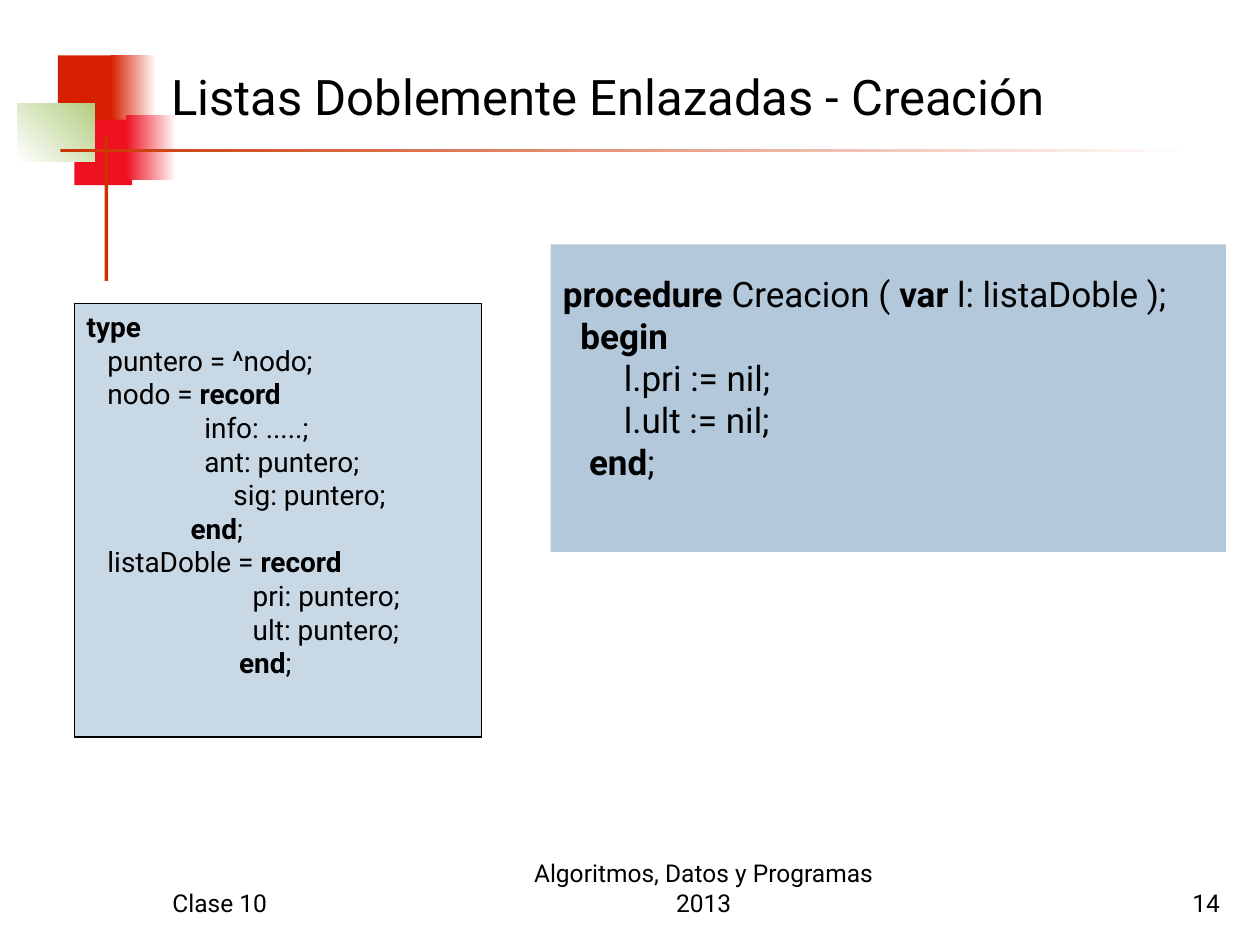
from pptx import Presentation
from pptx import util as u
from pptx.dml.color import RGBColor
from pptx.enum import shapes, text
from pptx.oxml import parse_xml
from pptx.oxml.ns import nsdecls

COLUMNS, ROWS = 100, 75
WIDTH, HEIGHT = u.Inches(10), u.Inches(7.5)
FONT = "Roboto"

TYPES = [
    "*type*",
    "   puntero = ^nodo;",
    "   nodo = *record*",
    "                 info: .....;",
    "                 ant: puntero;",
    "\t   sig: puntero;",
    "               *end*;",
    "   listaDoble = *record*",
    "                        pri: puntero;",
    "                        ult: puntero;",
    "                      *end*;",
]
PROCEDURE = [
    "*procedure* Creacion ( *var* l: listaDoble );",
    "  *begin*",
    "       l.pri := nil;",
    "       l.ult := nil;",
    "   *end*;",
]
ORNAMENT = [
    ((4.6, 4.4, 4.8, 5.2), ["D61F00"], 0),
    ((8.8, 4.4, 3.6, 5.2), ["D61F00", "FFFFFF"], 0),
    ((5.9, 9.5, 4.6, 5.2), ["EF1121"], 0),
    ((10, 9.1, 4, 5.2), ["EF1121", "FFFFFF"], 0),
    ((1.4, 8.2, 6.1, 4.6), ["FFFFFF", "B3CE82"], 45),
    ((8.3, 10.8, 0.3, 11.5), ["CC3300"], 0),
    ((4.8, 11.8, 90, 0.3), ["CC3300", "FFFFFF"], 0),
]


def color(code):
    """Turn a hex string into a colour."""
    return RGBColor.from_string(code)


def place(left, top, width, height):
    """Turn grid columns and rows into slide lengths."""
    return (int(WIDTH * left / COLUMNS), int(HEIGHT * top / ROWS),
            int(WIDTH * width / COLUMNS), int(HEIGHT * height / ROWS))


def add_block(slide, area, hues, angle=0, border=None):
    """Draw a rectangle filled with one hue or a fade between two."""
    block = slide.shapes.add_shape(shapes.MSO_SHAPE.RECTANGLE, *place(*area))
    block.shadow.inherit = False
    if len(hues) == 1:
        block.fill.solid()
        block.fill.fore_color.rgb = color(hues[0])
    else:
        block.fill.gradient()
        block.fill.gradient_angle = angle
        for position, (stop, hue) in enumerate(zip(block.fill.gradient_stops, hues)):
            stop.position = position
            stop.color.rgb = color(hue)
    if border:
        block.line.color.rgb = color(border)
        block.line.width = u.Pt(0.75)
    else:
        block.line.fill.background()
    return block


def write(frame, lines, size, align=text.PP_ALIGN.LEFT,
          anchor=text.MSO_ANCHOR.TOP, inset=0.05, tab=None):
    """Fill a frame with lines whose starred parts are bold."""
    frame.word_wrap = True
    frame.vertical_anchor = anchor
    frame.margin_top = u.Inches(inset)
    for number, line in enumerate(lines):
        paragraph = frame.paragraphs[0] if number == 0 else frame.add_paragraph()
        paragraph.alignment = align
        if tab:
            paragraph._p.get_or_add_pPr().append(parse_xml(
                f'<a:tabLst {nsdecls("a")}><a:tab pos="{u.Inches(tab)}" algn="l"/></a:tabLst>'))
        for part, words in enumerate(line.split("*")):
            if words:
                run = paragraph.add_run()
                run.text = words
                run.font.name = FONT
                run.font.size = u.Pt(size)
                run.font.bold = part % 2 == 1
                run.font.color.rgb = color("000000")


def add_label(slide, area, words, size, **layout):
    """Place one line of text in its own box."""
    label = slide.shapes.add_textbox(*place(*area))
    write(label.text_frame, [words], size, **layout)


def add_code(slide, area, hue, lines, size, border=None, **layout):
    """Place a listing on a coloured panel."""
    panel = add_block(slide, area, [hue], border=border)
    write(panel.text_frame, lines, size, tab=1, **layout)


def main():
    """Build and save the slide."""
    deck = Presentation()
    deck.slide_width, deck.slide_height = WIDTH, HEIGHT
    slide = deck.slides.add_slide(deck.slide_layouts[6])

    for area, hues, angle in ORNAMENT:
        add_block(slide, area, hues, angle)
    add_code(slide, (43.7, 19.4, 53.6, 24.4), "B3C9DB", PROCEDURE, 20, inset=0.22)
    add_label(slide, (12.6, 2.3, 85.2, 10.7), "Listas Doblemente Enlazadas - Creación",
              28, anchor=text.MSO_ANCHOR.MIDDLE)
    add_code(slide, (5.9, 24.1, 32.3, 34.4), "C9D8E5", TYPES, 16, border="000000")

    footer = [
        (12.7, 20.8, "Clase 10", text.PP_ALIGN.LEFT),
        (77, 20.8, "14", text.PP_ALIGN.RIGHT),
        (40, 31.7, "Algoritmos, Datos y Programas 2013", text.PP_ALIGN.CENTER),
    ]
    for left, width, words, align in footer:
        add_label(slide, (left, 68.3, width, 5), words, 14,
                  align=align, anchor=text.MSO_ANCHOR.BOTTOM)

    deck.save("out.pptx")


if __name__ == "__main__":
    main()
